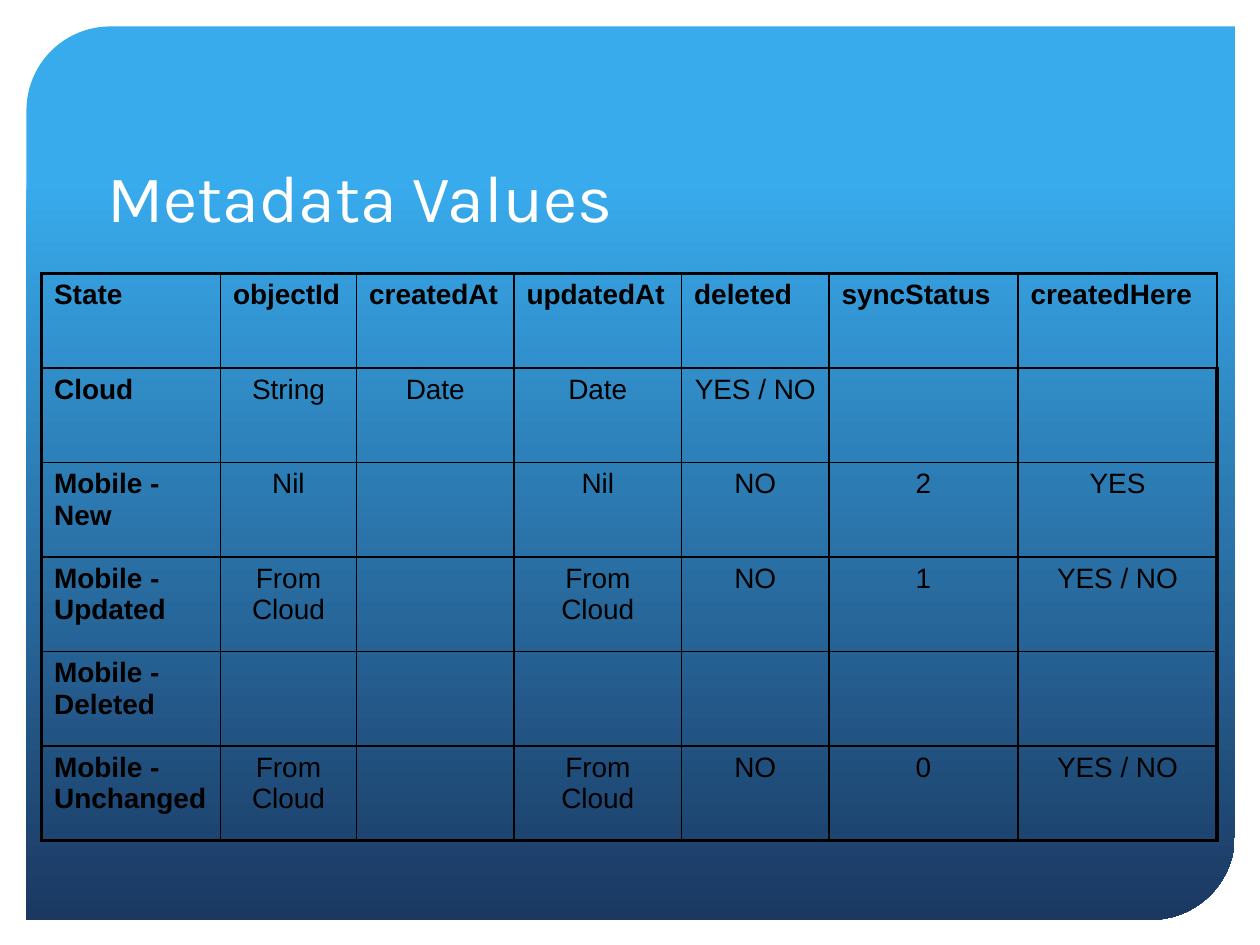
from lxml.etree import SubElement
from pptx import Presentation
from pptx.dml.color import RGBColor
from pptx.enum.shapes import MSO_SHAPE
from pptx.enum.text import MSO_ANCHOR, PP_ALIGN
from pptx.oxml.ns import qn
from pptx.util import Inches, Pt


def color(value):
    return RGBColor.from_string(value)


class SlideBuilder:
    title_font = "Karla"
    table_font = "Arial"
    ink = "000000"
    thin = 1
    thick = 2.25

    def __init__(self, page):
        self.page = page

    def panel(self, left, top, width, height, stops):
        panel = self.page.shapes.add_shape(
            MSO_SHAPE.ROUND_2_DIAG_RECTANGLE,
            Inches(left), Inches(top), Inches(width), Inches(height))
        panel.adjustments[0] = 0.094
        panel.adjustments[1] = 0
        panel.shadow.inherit = False
        panel.line.fill.background()
        panel.fill.gradient()
        panel.fill.gradient_angle = 270
        for stop, (position, shade) in zip(panel.fill.gradient_stops, stops):
            stop.position = position
            stop.color.rgb = color(shade)
        self.page.shapes.title.element.addprevious(panel.element)

    def style(self, paragraph, font, size, shade, bold=False, align=PP_ALIGN.LEFT):
        paragraph.alignment = align
        for span in paragraph.runs:
            span.font.name = font
            span.font.size = Pt(size)
            span.font.bold = bold
            span.font.color.rgb = color(shade)

    def title(self, text, left, top, width, height):
        title = self.page.shapes.title
        title.left, title.top = Inches(left), Inches(top)
        title.width, title.height = Inches(width), Inches(height)
        title.text_frame.text = text
        title.text_frame.vertical_anchor = MSO_ANCHOR.BOTTOM
        self.style(title.text_frame.paragraphs[0], self.title_font, 38, "FFFFFF")

    def border(self, cell, side, weight):
        properties = cell._tc.get_or_add_tcPr()
        line = SubElement(properties, qn(f"a:ln{side}"), w=str(Pt(weight)))
        fill = SubElement(line, qn("a:solidFill"))
        SubElement(fill, qn("a:srgbClr"), val=self.ink)

    def table(self, left, top, widths, row_height, rows):
        table = self.page.shapes.add_table(
            len(rows), len(widths), Inches(left), Inches(top),
            Inches(sum(widths)), Inches(row_height * len(rows))).table
        table.first_row = False
        table.horz_banding = False
        for column, width in zip(table.columns, widths):
            column.width = Inches(width)
        last_row, last_column = len(rows) - 1, len(widths) - 1
        for y, values in enumerate(rows):
            table.rows[y].height = Inches(row_height)
            for x, value in enumerate(values):
                cell = table.cell(y, x)
                heading = y == 0 or x == 0
                cell.text_frame.text = value
                self.style(cell.text_frame.paragraphs[0], self.table_font, 16, self.ink,
                           heading, PP_ALIGN.LEFT if heading else PP_ALIGN.CENTER)
                outer = {"L": x == 0, "R": x == last_column and y > 0,
                         "T": y == 0, "B": y == last_row}
                for side, is_outer in outer.items():
                    self.border(cell, side, self.thick if is_outer else self.thin)
                cell.fill.background()


deck = Presentation()
deck.slide_width, deck.slide_height = Inches(10), Inches(7.5)
builder = SlideBuilder(deck.slides.add_slide(deck.slide_layouts[5]))
builder.panel(0.21, 0.21, 9.59, 7.09, [(0.17, "38ABED"), (1, "1B3861")])
builder.title("Metadata Values", 0.75, 0.67, 8.5, 1.25)
builder.table(0.33, 2.17, [1.42, 1.08, 1.25, 1.33, 1.17, 1.5, 1.58], 0.75, [
    ["State", "objectId", "createdAt", "updatedAt", "deleted", "syncStatus", "createdHere"],
    ["Cloud", "String", "Date", "Date", "YES / NO", "", ""],
    ["Mobile - New", "Nil", "", "Nil", "NO", "2", "YES"],
    ["Mobile - Updated", "From Cloud", "", "From Cloud", "NO", "1", "YES / NO"],
    ["Mobile - Deleted", "", "", "", "", "", ""],
    ["Mobile - Unchanged", "From Cloud", "", "From Cloud", "NO", "0", "YES / NO"],
])
deck.save("out.pptx")
